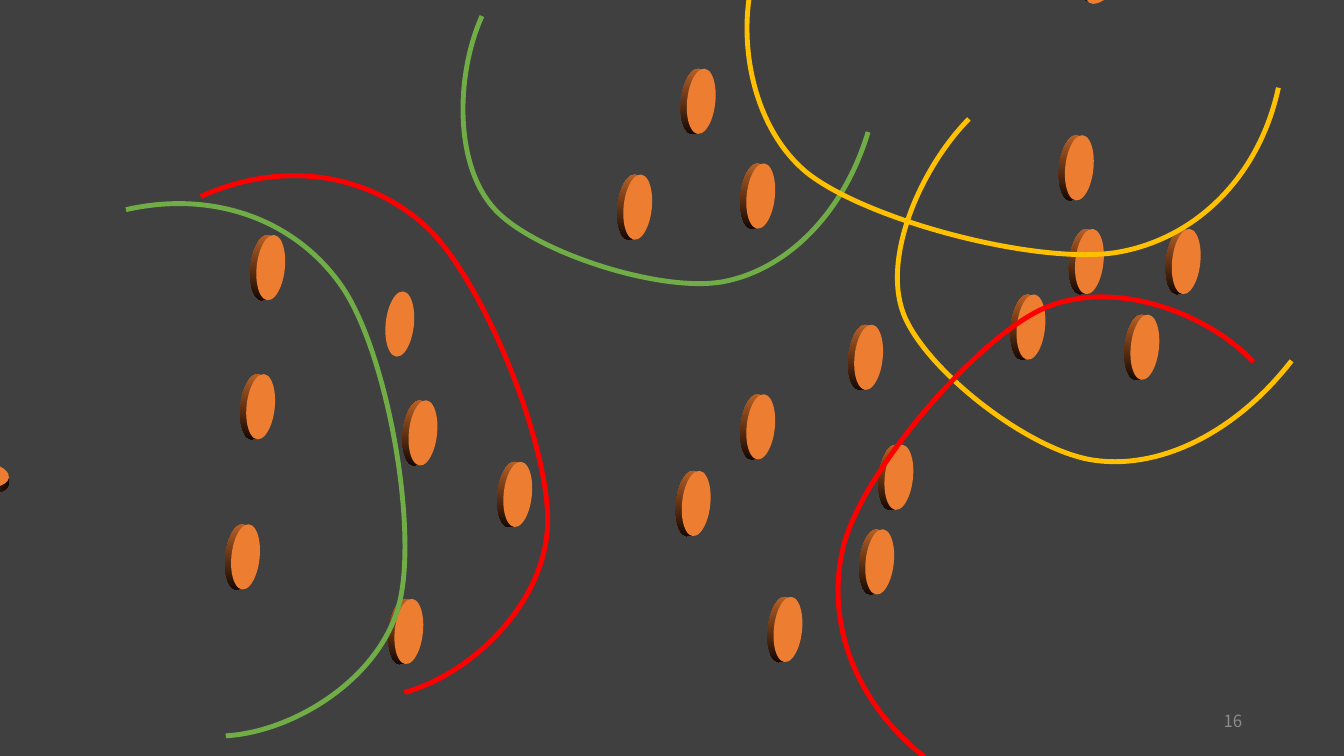
from dataclasses import dataclass
from math import cos, radians, sin

from lxml.etree import SubElement
from pptx import Presentation
from pptx.dml.color import RGBColor
from pptx.enum.shapes import MSO_SHAPE
from pptx.enum.text import MSO_ANCHOR, PP_ALIGN
from pptx.oxml.ns import qn
from pptx.util import Inches, Pt


@dataclass(frozen=True)
class Theme:
    background: RGBColor = RGBColor(0x40, 0x40, 0x40)
    green: RGBColor = RGBColor(0x70, 0xAD, 0x47)
    red: RGBColor = RGBColor(0xFF, 0x00, 0x00)
    yellow: RGBColor = RGBColor(0xFF, 0xC0, 0x00)
    disc_face: RGBColor = RGBColor(0xED, 0x7D, 0x31)
    disc_rim_light: RGBColor = RGBColor(0xC0, 0x65, 0x28)
    disc_rim_dark: RGBColor = RGBColor(0x10, 0x06, 0x02)
    number: RGBColor = RGBColor(0x8C, 0x8C, 0x8C)
    font: str = "Noto Sans CJK SC"
    number_size: Pt = Pt(12)
    arc_width: Pt = Pt(3.5)


THEME = Theme()
DISC_SIZE = 0.65
DISC_WIDTH = 0.28
DISC_TILT = 6
RIM_OFFSET = 0.06

ARCS_BEHIND = [
    (THEME.green, [(4.78, 0.16), (4.52, 0.74), (4.5, 1.64), (4.91, 2.08), (5.31, 2.51),
                   (6.59, 2.92), (7.2, 2.79), (7.82, 2.66), (8.37, 2.11), (8.61, 1.31)]),
    (THEME.red, [(4.01, 6.87), (4.67, 6.69), (5.39, 6), (5.43, 5.23), (5.47, 4.46),
                 (4.81, 2.81), (4.24, 2.26), (3.66, 1.72), (2.81, 1.58), (1.99, 1.95)]),
    (THEME.yellow, [(9.61, 1.18), (9.13, 1.67), (8.75, 2.55), (8.96, 3.11), (9.18, 3.68),
                    (10.24, 4.5), (10.88, 4.57), (11.52, 4.65), (12.26, 4.29), (12.81, 3.58)]),
]
ARCS_IN_FRONT = [
    (THEME.yellow, [(7.53, -0.41), (7.28, 0.23), (7.41, 1.22), (8, 1.71), (8.6, 2.19),
                    (10.32, 2.64), (11.1, 2.5), (11.87, 2.36), (12.49, 1.75), (12.68, 0.87)]),
    (THEME.green, [(2.24, 7.3), (2.92, 7.26), (3.77, 6.73), (3.96, 5.99), (4.15, 5.24),
                   (3.84, 3.49), (3.39, 2.84), (2.94, 2.19), (2.13, 1.88), (1.25, 2.08)]),
    (THEME.red, [(12.43, 3.59), (11.96, 3.09), (11.03, 2.76), (10.35, 3.06), (9.68, 3.36),
                 (8.57, 4.66), (8.37, 5.4), (8.18, 6.14), (8.46, 6.95), (9.17, 7.51)]),
]
FLAT_DISC = (3.64, 2.89)
DISCS = [
    (6.63, 0.68), (8.4, 5.25), (7.49, 5.92), (10.48, 2.27), (7.22, 3.91), FLAT_DISC,
    (9.9, 2.92), (3.87, 3.97), (6, 1.73), (10.38, 1.34), (11.44, 2.27), (2.26, 3.71),
    (11.03, 3.12), (7.22, 1.62), (6.58, 4.67), (2.36, 2.33), (8.59, 4.41), (8.29, 3.22),
    (3.73, 5.94), (2.11, 5.2), (4.81, 4.58),
]
TURNED_DISCS = [(10.67, -0.56, 30.9), (-0.56, 4.38, 269.6)]


def add_arc(slide, color, points):
    corners = [(Inches(x), Inches(y)) for x, y in points]
    builder = slide.shapes.build_freeform(*corners[0])
    builder.add_line_segments(corners[1:], close=False)
    shape = builder.convert_to_shape()
    shape.shadow.inherit = False
    shape.fill.background()
    shape.line.color.rgb = color
    shape.line.width = THEME.arc_width
    outline = next(shape.element.iter(qn("a:path")))
    segments = outline.findall(qn("a:lnTo"))
    for start in range(0, len(segments), 3):
        curve = SubElement(outline, qn("a:cubicBezTo"))
        for segment in segments[start:start + 3]:
            curve.append(segment[0])
            outline.remove(segment)


def add_ellipse(slide, center_x, center_y, rotation):
    shape = slide.shapes.add_shape(
        MSO_SHAPE.OVAL,
        Inches(center_x - DISC_WIDTH / 2), Inches(center_y - DISC_SIZE / 2),
        Inches(DISC_WIDTH), Inches(DISC_SIZE))
    shape.rotation = rotation
    shape.shadow.inherit = False
    shape.line.fill.background()
    return shape


def add_disc(slide, left, top, turn=0, has_rim=True):
    center_x, center_y = left + DISC_SIZE / 2, top + DISC_SIZE / 2
    rotation = turn + DISC_TILT
    if has_rim:
        rim = add_ellipse(slide, center_x - RIM_OFFSET * cos(radians(turn)),
                          center_y - RIM_OFFSET * sin(radians(turn)), rotation)
        rim.fill.gradient()
        rim.fill.gradient_angle = 270
        colors = (THEME.disc_rim_light, THEME.disc_rim_dark)
        for stop, color in zip(rim.fill.gradient_stops, colors):
            stop.color.rgb = color
    face = add_ellipse(slide, center_x, center_y, rotation)
    face.fill.solid()
    face.fill.fore_color.rgb = THEME.disc_face


def add_slide_number(slide, left, top, width, height):
    box = slide.shapes.add_textbox(Inches(left), Inches(top), Inches(width), Inches(height))
    frame = box.text_frame
    frame.word_wrap = True
    frame.vertical_anchor = MSO_ANCHOR.MIDDLE
    paragraph = frame.paragraphs[0]
    paragraph.alignment = PP_ALIGN.RIGHT
    run = paragraph.add_run()
    run.text = "16"
    run.font.name = THEME.font
    run.font.size = THEME.number_size
    run.font.color.rgb = THEME.number


def add_arcs_slide(presentation):
    slide = presentation.slides.add_slide(presentation.slide_layouts[6])
    slide.background.fill.solid()
    slide.background.fill.fore_color.rgb = THEME.background
    for color, points in ARCS_BEHIND:
        add_arc(slide, color, points)
    for place in DISCS:
        add_disc(slide, *place, has_rim=place != FLAT_DISC)
    for left, top, turn in TURNED_DISCS:
        add_disc(slide, left, top, turn)
    for color, points in ARCS_IN_FRONT:
        add_arc(slide, color, points)
    add_slide_number(slide, 9.42, 6.95, 3, 0.4)


def main():
    presentation = Presentation()
    presentation.slide_width = Inches(13.33)
    presentation.slide_height = Inches(7.5)
    add_arcs_slide(presentation)
    presentation.save("out.pptx")


if __name__ == "__main__":
    main()
